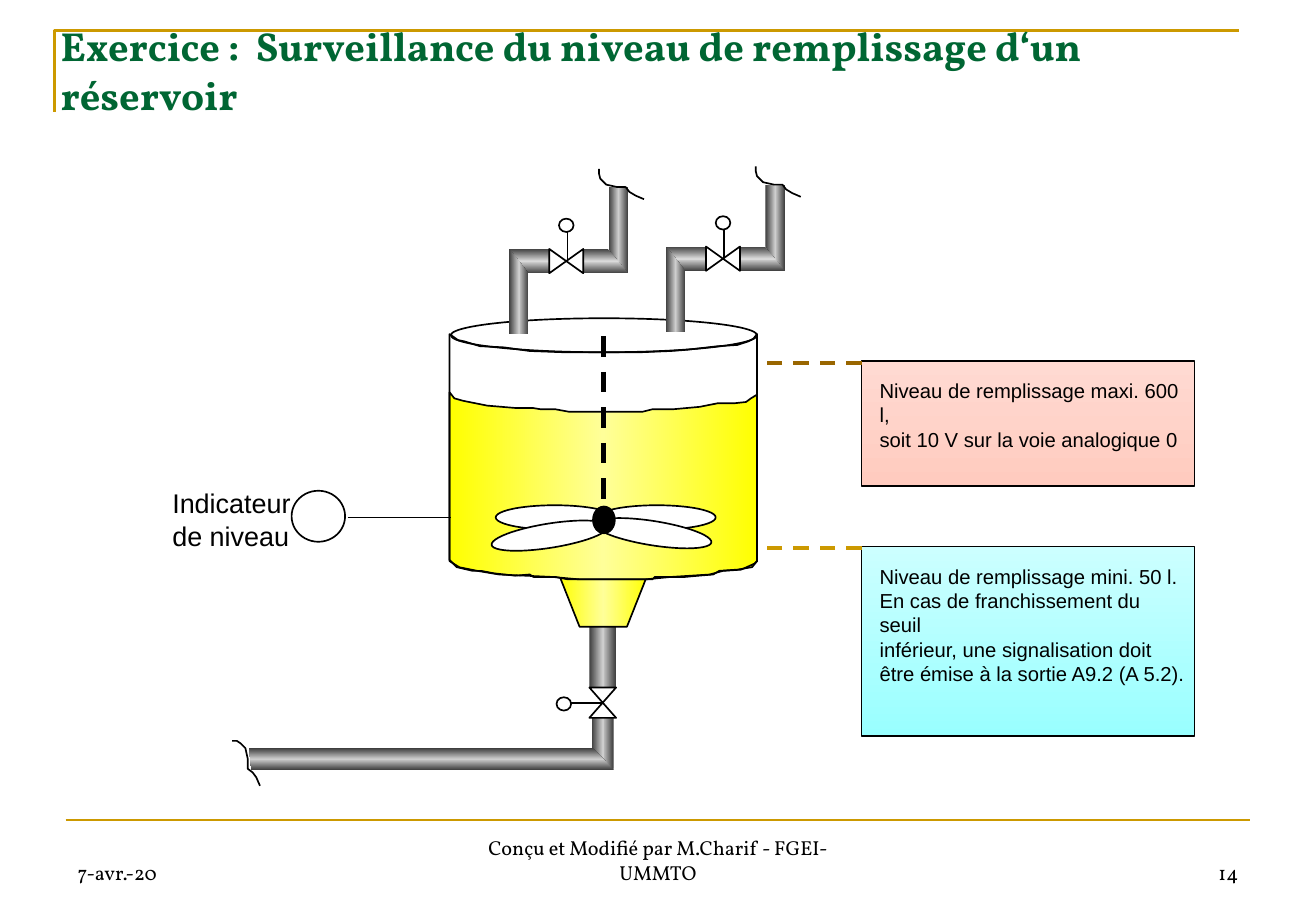
from pptx import Presentation
from pptx.enum.dml import MSO_LINE as Dash
from pptx.enum.shapes import MSO_CONNECTOR as Conn, MSO_SHAPE as Geo
from pptx.enum.text import MSO_ANCHOR as Anchor, PP_ALIGN as Align
from pptx.dml.color import RGBColor as Rgb
from pptx.oxml import parse_xml
from pptx.oxml.ns import nsdecls
from pptx.util import Pt

COLS, ROWS, CELL = 1083, 750, 9144
HUES = {
    "black": "000000", "white": "FFFFFF", "gold": "CC9900", "brown": "996600",
    "green": "006633", "dark": "3D3D3D", "steel": "CECECE", "slate": "414141",
    "shine": "DADADA", "yellow": "FFFF00", "cream": "FFFF99", "ice": "CCFFFF",
    "aqua": "99FFFF", "blush": "FFDAD2", "rose": "FFCBBF",
}
UP = (0, "dark", "steel", "dark")
FLAT = (90, "slate", "shine", "slate")
DUCT = (90, "dark", "steel", "dark")
JUICE = (0, "yellow", "cream", "yellow")


class Board:
    def __init__(self):
        self.deck = Presentation()
        self.deck.slide_width = COLS * CELL
        self.deck.slide_height = ROWS * CELL
        self.slide = self.deck.slides.add_slide(self.deck.slide_layouts[6])
        self.items = self.slide.shapes

    def hue(self, name):
        return Rgb.from_string(HUES[name])

    def span(self, *cells):
        return [cell * CELL for cell in cells]

    def blend(self, shape, angle, *names):
        step = 100000 // (len(names) - 1)
        stops = "".join(
            f'<a:gs pos="{i * step}"><a:srgbClr val="{HUES[name]}"/></a:gs>'
            for i, name in enumerate(names))
        shape.element.spPr.insert(2, parse_xml(
            f'<a:gradFill {nsdecls("a")} rotWithShape="1"><a:gsLst>{stops}</a:gsLst>'
            f'<a:lin ang="{angle * 60000}" scaled="0"/></a:gradFill>'))

    def paint(self, shape, fill, line, width):
        shape.shadow.inherit = False
        if isinstance(fill, tuple):
            self.blend(shape, *fill)
        elif fill:
            shape.fill.solid()
            shape.fill.fore_color.rgb = self.hue(fill)
        else:
            shape.fill.background()
        if line:
            shape.line.color.rgb = self.hue(line)
            shape.line.width = Pt(width)
        else:
            shape.line.fill.background()

    def form(self, points, fill=None, line=None, width=1, shut=True):
        pen = self.items.build_freeform(*points[0], scale=CELL)
        pen.add_line_segments(points[1:], close=shut)
        self.paint(pen.convert_to_shape(), fill, line, width)

    def shape(self, kind, box, fill=None, turn=0):
        item = self.items.add_shape(kind, *self.span(*box))
        item.rotation = turn
        self.paint(item, fill, "black", 1)

    def oval(self, box, fill="white", turn=0):
        self.shape(Geo.OVAL, box, fill, turn)

    def line(self, start, end, color="black", width=1, dash=False):
        item = self.items.add_connector(Conn.STRAIGHT, *self.span(*start, *end))
        item.line.color.rgb = self.hue(color)
        item.line.width = Pt(width)
        if dash:
            item.line.dash_style = Dash.DASH
        item.element.spPr.append(parse_xml(f'<a:effectLst {nsdecls("a")}/>'))

    def text(self, box, rows, size=12, font="Arial", color="black", bold=False,
             align=Align.LEFT, anchor=Anchor.TOP, wrap=True):
        frame = self.items.add_textbox(*self.span(*box)).text_frame
        frame.word_wrap = wrap
        frame.vertical_anchor = anchor
        for i, row in enumerate(rows):
            para = frame.add_paragraph() if i else frame.paragraphs[0]
            para.alignment = align
            for j, part in enumerate(row.split("\n")):
                if j:
                    para.add_line_break()
                run = para.add_run()
                run.text = part
                run.font.size = Pt(size)
                run.font.name = font
                run.font.bold = bold
                run.font.color.rgb = self.hue(color)

    def inlet(self, dx, dy):
        def move(*points):
            return [(x + dx, y + dy) for x, y in points]

        self.form(move((452, 205), (452, 225), (435, 225), (419, 205)), FLAT)
        self.form(move((501, 154), (517, 154), (517, 225), (501, 205)), UP)
        self.form(move((481, 225), (481, 205), (500, 205), (517, 225)), FLAT)
        self.form(move((493, 139), (493, 143), (494, 147), (499, 152), (508, 154),
                       (515, 154), (518, 158), (523, 161), (530, 164)),
                  line="black", shut=False)
        self.line(*move((467, 215), (467, 190)))
        self.form(move((480, 205), (452, 225), (452, 205), (480, 225)), "white", "black")
        self.form(move((435, 275), (419, 275), (419, 205), (435, 225)), UP)
        self.oval((460 + dx, 180 + dy, 12, 11))

    def note(self, box, fill, rows, level, color):
        x, y, w, h = box
        self.shape(Geo.RECTANGLE, box, fill)
        self.text((x + 5, y + 9.5, w - 1, h - 20), rows)
        self.line((x, level), (x - 83, level), color, 2.25, True)


def frame(board):
    board.form([(45, 92), (45, 25), (1020, 25)], line="gold", width=1.5, shut=False)
    board.line((54, 675), (1029, 675), "gold", 1.5)
    for x, w, label, align in (
            (54, 253, "7-avr.-20", Align.LEFT),
            (370, 343, "Conçu et Modifié par M.Charif - FGEI- UMMTO", Align.CENTER),
            (776, 253, "14", Align.RIGHT)):
        board.text((x, 683, w, 50), [label], font="Vollkorn", align=align,
                   anchor=Anchor.BOTTOM)
    board.text((40, -5, 975, 125),
               ["Exercice :  Surveillance du niveau de remplissage d‘un réservoir"],
               24, "Vollkorn", "green", True, anchor=Anchor.MIDDLE)


def tank(board):
    board.form([(485, 566), (507, 566), (507, 487), (485, 509)], UP)
    board.form([(460, 473), (477, 516), (516, 516), (533, 473)], JUICE, "black")
    level = [(370, 323), (374, 328), (381, 330), (401, 334), (425, 336), (439, 336),
             (445, 337), (457, 337), (468, 339), (529, 339), (537, 337), (554, 337),
             (576, 335), (591, 332), (605, 332), (614, 331), (618, 328), (623, 325)]
    base = [(623, 462), (619, 467), (607, 469), (592, 470), (587, 473), (575, 474),
            (564, 475), (539, 475), (537, 477), (467, 477), (457, 475), (439, 475),
            (436, 473), (424, 474), (406, 472), (396, 470), (389, 470), (376, 467),
            (370, 461)]
    board.form(level + base, JUICE, "black")
    board.oval((371, 262, 252, 28), None)
    board.form([(370, 275), (370, 462), (378, 467), (393, 470), (411, 473), (433, 474),
                (455, 475), (477, 477), (531, 477), (552, 475), (584, 473), (595, 470),
                (610, 469), (621, 464), (623, 462), (623, 275), (620, 279), (616, 281),
                (607, 284), (591, 285), (565, 288), (552, 289), (527, 290), (464, 290),
                (436, 289), (415, 286), (395, 285), (382, 281), (377, 280)],
               line="black")
    board.line((497, 277), (497, 424), width=3, dash=True)
    for x, y, turn in ((408, 416, 0), (492, 416, 0), (489, 429, 9), (404, 431, -9)):
        board.oval((x, y, 97, 20), turn=turn)
    board.oval((488, 417, 18, 22), "black")


def drain(board):
    board.form([(487, 591), (505, 591), (505, 633), (487, 621)], UP)
    board.line((495, 579), (468, 579))
    board.form([(485, 566), (507, 591), (485, 591), (507, 566)], "white", "black")
    board.form([(207, 634), (505, 634), (488, 616), (205, 616)], DUCT)
    board.oval((458, 574, 12, 11))
    board.form([(191, 610), (195, 610), (198, 612), (202, 616), (204, 625), (204, 633),
                (208, 636), (211, 640), (214, 647)], line="black", shut=False)


def main():
    board = Board()
    frame(board)
    tank(board)
    for dx, dy in ((0, 0), (129, -2)):
        board.inlet(dx, dy)
    drain(board)
    board.oval((240, 404, 44, 42), None)
    board.line((286, 426), (371, 426))
    board.text((132, 396, 117, 63), ["Indicateur", "de niveau"], 16, wrap=False)
    board.note((709, 450, 274, 156), (90, "ice", "aqua"), [
        "Niveau de remplissage mini. 50 l.\nEn cas de franchissement du seuil",
        "inférieur, une signalisation doit",
        "être émise à la sortie A9.2 (A 5.2)."], 451, "gold")
    board.note((709, 297, 274, 103), (90, "blush", "rose"), [
        "Niveau de remplissage maxi. 600 l,",
        "soit 10 V sur la voie analogique 0"], 299, "brown")
    board.deck.save("out.pptx")


if __name__ == "__main__":
    main()
